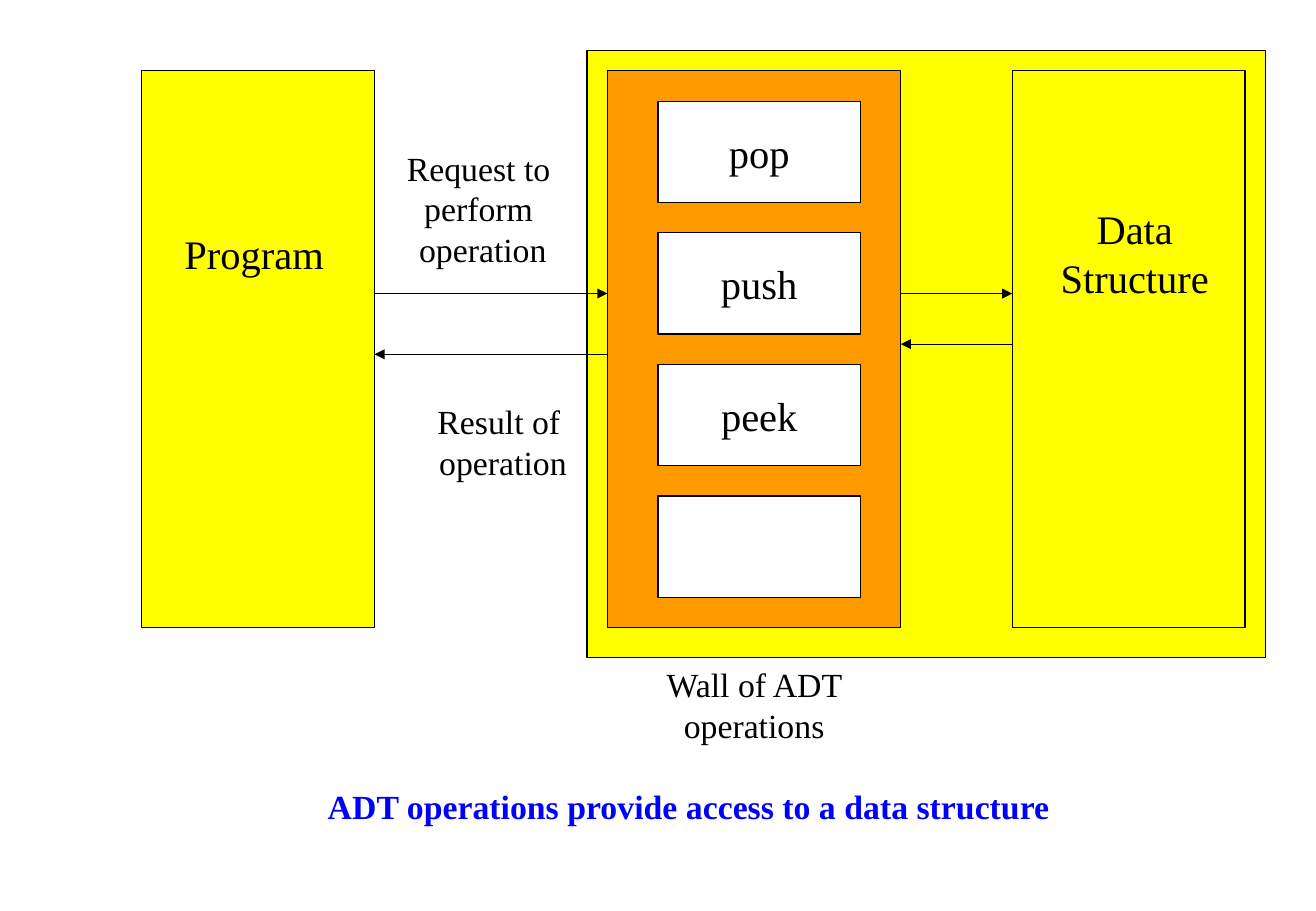
import pptx
import pptx.dml.color
import pptx.enum.shapes
import pptx.enum.text
import pptx.oxml
import pptx.oxml.ns
import pptx.util

PX = 7620  # EMU per px: 120 px to the inch
YELLOW, ORANGE, WHITE = "FFFF00", "FF9900", "FFFFFF"
BLACK, BLUE = "000000", "0000FF"


def color(hex_value):
    return pptx.dml.color.RGBColor.from_string(hex_value)


class Diagram:
    font = "Times New Roman"
    line_width = pptx.util.Pt(0.75)

    def __init__(self, slide):
        self.slide = slide

    def set_text(self, shape, text, size, ink=BLACK, bold=False, wrap=False):
        frame = shape.text_frame
        frame.text = text
        frame.auto_size = pptx.enum.text.MSO_AUTO_SIZE.NONE
        frame.word_wrap = wrap
        frame.vertical_anchor = pptx.enum.text.MSO_ANCHOR.MIDDLE
        for paragraph in frame.paragraphs:
            paragraph.alignment = pptx.enum.text.PP_ALIGN.CENTER
            for run in paragraph.runs:
                run.font.name = self.font
                run.font.size = pptx.util.Pt(size)
                run.font.bold = bold
                run.font.color.rgb = color(ink)

    def title(self, text, left, top, width, height):
        shape = self.slide.shapes.title
        shape.left, shape.top = left * PX, top * PX
        shape.width, shape.height = width * PX, height * PX
        self.set_text(shape, text, 20, BLUE, bold=True)

    def box(self, left, top, width, height, fill=None, text=""):
        shape = self.slide.shapes.add_shape(
            pptx.enum.shapes.MSO_SHAPE.RECTANGLE,
            left * PX, top * PX, width * PX, height * PX)
        shape.shadow.inherit = False
        if fill:
            shape.fill.solid()
            shape.fill.fore_color.rgb = color(fill)
        else:
            shape.fill.background()
        shape.line.color.rgb = color(BLACK)
        shape.line.width = self.line_width
        if text:
            self.set_text(shape, text, 24)

    def label(self, text, left, top, width, height, size=20, wrap=False):
        shape = self.slide.shapes.add_textbox(
            left * PX, top * PX, width * PX, height * PX)
        self.set_text(shape, text, size, wrap=wrap)

    def arrow(self, start, end, y):
        connector = self.slide.shapes.add_connector(
            pptx.enum.shapes.MSO_CONNECTOR.STRAIGHT,
            start * PX, y * PX, end * PX, y * PX)
        connector.line.color.rgb = color(BLACK)
        connector.line.width = self.line_width
        properties = connector._element.spPr
        tip = pptx.oxml.parse_xml(
            f'<a:tailEnd {pptx.oxml.ns.nsdecls("a")} type="triangle"/>')
        properties.get_or_add_ln().append(tip)
        properties.append(pptx.oxml.parse_xml(
            f'<a:effectLst {pptx.oxml.ns.nsdecls("a")}/>'))


def main():
    presentation = pptx.Presentation()
    presentation.slide_width = 1300 * PX
    presentation.slide_height = 900 * PX
    title_only = presentation.slide_layouts[5]
    diagram = Diagram(presentation.slides.add_slide(title_only))

    # Caption
    diagram.title("ADT operations provide access to a data structure",
                  311, 770, 739, 53)

    # Program
    diagram.box(140, 70, 230, 550, YELLOW)
    diagram.label("Program", 170, 220, 162, 60, size=24)

    # Abstract data type with its wall of operations
    diagram.box(580, 50, 670, 600, YELLOW)
    diagram.box(600, 70, 290, 550, ORANGE)
    for row, operation in enumerate(["pop", "push", "peek", ""]):
        diagram.box(650, 100 + row * 130, 200, 100, WHITE, operation)
    diagram.label("Wall of ADT operations", 610, 650, 270, 92, wrap=True)

    # Data structure
    diagram.box(1000, 70, 230, 550)
    diagram.label("Data\nStructure", 1036, 196, 170, 108, size=24)

    # Requests and results
    for start, end, y in [(370, 600, 290), (600, 370, 350),
                          (890, 1000, 290), (1000, 890, 340)]:
        diagram.arrow(start, end, y)
    diagram.label("Request to \nperform \noperation", 390, 140, 174, 132)
    diagram.label("Result of \noperation", 420, 390, 154, 92)

    presentation.save("out.pptx")


if __name__ == "__main__":
    main()
